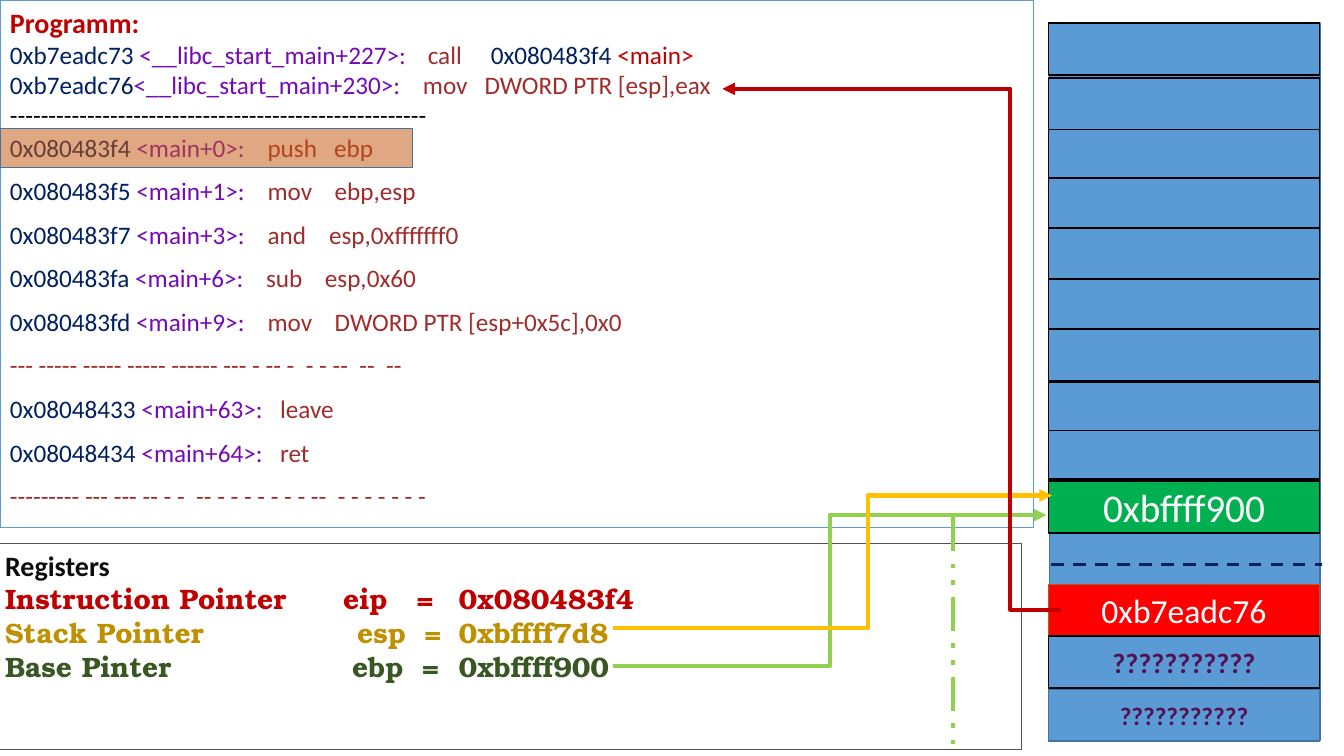
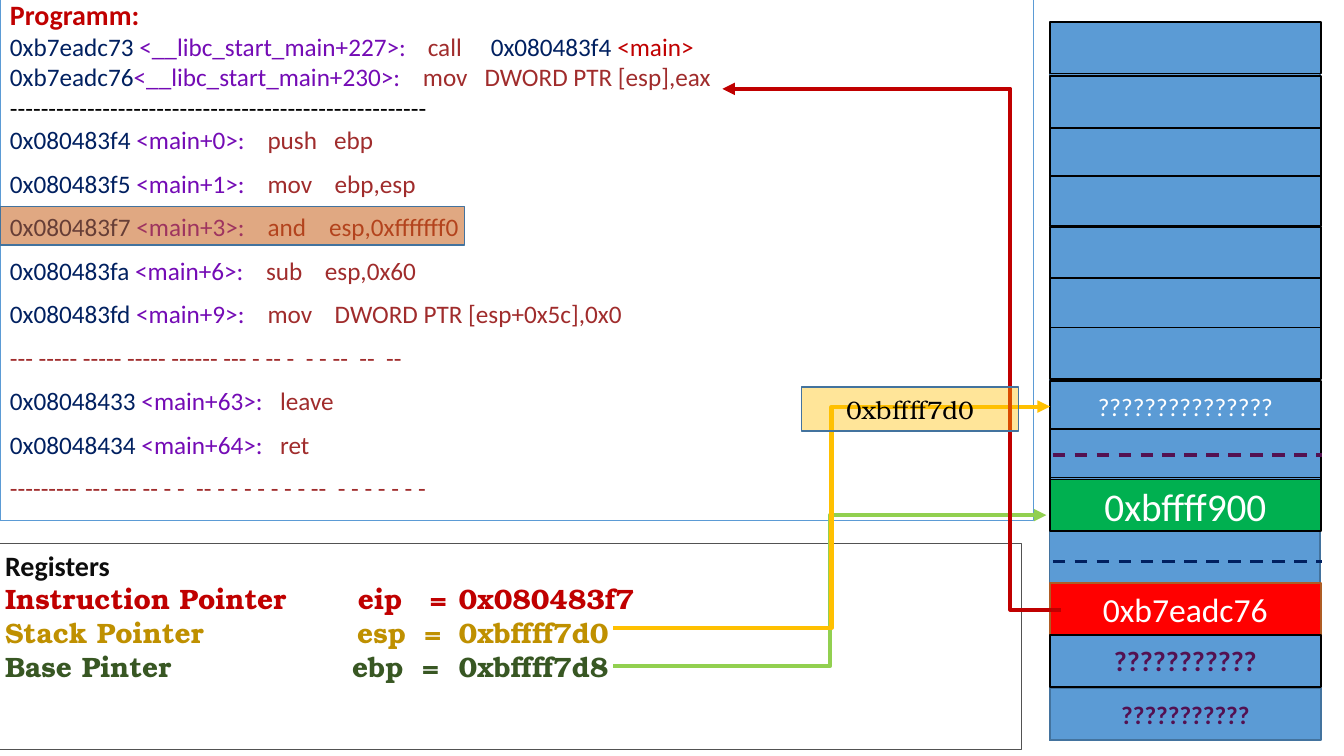
from lxml import etree
from pptx import Presentation
from pptx.dml.color import RGBColor
from pptx.enum import dml, shapes, text
from pptx.oxml import ns
from pptx.util import Pt

HUE = {
    "red": "C00000", "navy": "002060", "plum": "740BB5", "brown": "A02C2C",
    "black": "000000", "ink": "0D0D0D", "gold": "BF9000", "moss": "385723",
    "white": "FFFFFF", "grape": "531151", "blue": "5B9BD5", "edge": "43739E",
    "grey": "525252", "green": "00B050", "alert": "FF0000", "rust": "AF5C24",
    "mark": "C55A11", "amber": "FFC000", "lime": "92D050",
}
SANS, SERIF = "Calibri", "TeX Gyre Bonum"

# Program listing: runs of (text, colour), then tab stops
HEAD = [
    ([("0xb7eadc73 ", "navy"), ("<__libc_start_main+227>:", "plum"),
      ("\tcall\t", "brown"), ("0x080483f4", "navy"), (" <main>", "red")],
     (298.5, 343.5)),
    ([("0xb7eadc76", "navy"), ("<__libc_start_main+230>:", "plum"),
      ("\tmov\tDWORD PTR [esp],eax", "brown")], (295, 339)),
    ([("-" * 54, "black")], ()),
]
CODE = [
    ("0x080483f4", "<main+0>:", "\tpush\tebp", (184, 231.5)),
    ("0x080483f5", "<main+1>:", "\tmov\tebp,esp", (184, 232)),
    ("0x080483f7", "<main+3>:", "\tand\tesp,0xfffffff0", (184, 228)),
    ("0x080483fa", "<main+6>:", "\tsub\tesp,0x60", (183, 225)),
    ("0x080483fd", "<main+9>:", "\tmov\tDWORD PTR [esp+0x5c],0x0", (184, 232)),
    ("", "", "--- ----- ----- ----- ------ --- - -- -  - - --  --  --", ()),
    ("0x08048433", "<main+63>:", "\tleave", (193,)),
    ("0x08048434", "<main+64>:", "\tret", (193,)),
    ("", "", "--------- --- --- -- - -  -- - - - - - - - --  - - - - - - -", ()),
]

# Registers: label, name, colour; the tabs lead to name, equals sign, value
REGS = [("Instruction Pointer", "eip", "red"), ("Stack Pointer", "esp", "gold"),
        ("Base Pinter", "ebp", "moss")]
TABS = [(251.5, 299.5, 324), (248, 298, 324)]

# Stack cells from back to front: tops of the plain ones, and marked ones
LOW = [163, 199.5, 235, 273, 307.5, 342]
HIGH = [125.5, 90, 55.5, 16.5]
TAGS = [
    (343.5, "0xbffff900", "green", "black", dict(size=28)),
    (417.5, "0xb7eadc76", "alert", "rust", dict(size=24)),
    (454.5, "?" * 11, "blue", "black", dict(size=20, hue="grape", bold=True)),
]
BASE = (492.5, "?" * 11, "blue", "edge", dict(size=18, hue="grape", bold=True))

# What differs between the steps
STEPS = [
    dict(top=0.5, mark=(92, 294.5), left=749, lift=0, free={},
         vals=("0x080483f4", "0xbffff7d8", "0xbffff900"), eip=(241.5, 294, 324),
         esp=(751.5, 354, 0.58),
         rules=[(403.5, "navy")], tail=True, note=""),
    dict(top=-5, mark=(147.5, 332), left=750, lift=1, free={273: "?" * 15},
         vals=("0x080483f7", "0xbffff7d0", "0xbffff7d8"), eip=(252, 303.5, 324),
         esp=(750, 290.5, 0.5),
         rules=[(401, "navy"), (325, "grape")], tail=False, note="0xbffff7d0"),
]


def tint(part, hue):
    part.solid()
    part.fore_color.rgb = RGBColor.from_string(HUE[hue])


def write(par, words, hue="white", size=18, font=SANS, bold=False, tabs=(),
          align=None, line=None, after=None):
    """Add one run to a paragraph and set the paragraph's format."""
    run = par.add_run()
    run.text = words
    run.font.name, run.font.size, run.font.bold = font, Pt(size), bold
    tint(run.font.fill, hue)
    par.alignment = align or text.PP_ALIGN.LEFT
    if line:
        par.line_spacing, par.space_after = line, Pt(after)
    props = par._p.get_or_add_pPr()
    if tabs and props.find(ns.qn("a:tabLst")) is None:
        stops = etree.SubElement(props, ns.qn("a:tabLst"))
        for pos in tabs:
            etree.SubElement(stops, ns.qn("a:tab"), pos=str(Pt(pos)), algn="l")


def box(host, x, y, w, h, fill=None, edge="black", wide=1.25, alpha=None):
    item = host.add_shape(shapes.MSO_SHAPE.RECTANGLE, Pt(x), Pt(y), Pt(w), Pt(h))
    item.shadow.inherit = False
    if fill:
        tint(item.fill, fill)
    else:
        item.fill.background()
    if alpha:
        tone = item.fill._xPr.find(".//" + ns.qn("a:srgbClr"))
        etree.SubElement(tone, ns.qn("a:alpha"), val=str(alpha * 1000))
    tint(item.line.fill, edge)
    item.line.width = Pt(wide)
    frame = item.text_frame
    frame.word_wrap = True
    frame.vertical_anchor = text.MSO_ANCHOR.MIDDLE if fill else text.MSO_ANCHOR.TOP
    return frame


def link(host, x1, y1, x2, y2, hue, wide=3, bend=None, dash=None):
    """Draw a straight line, or an elbow arrow when bend is given."""
    kind = shapes.MSO_CONNECTOR.ELBOW if bend else shapes.MSO_CONNECTOR.STRAIGHT
    item = host.add_connector(kind, Pt(x1), Pt(y1), Pt(x2), Pt(y2))
    tint(item.line.fill, hue)
    item.line.width = Pt(wide)
    if dash:
        item.line.dash_style = dash
    props = item._element.spPr
    etree.SubElement(props, ns.qn("a:effectLst"))
    if bend:
        etree.SubElement(props.find(ns.qn("a:ln")), ns.qn("a:tailEnd"), type="triangle")
        guides = props.find(ns.qn("a:prstGeom")).get_or_add_avLst()
        etree.SubElement(guides, ns.qn("a:gd"), name="adj1",
                         fmla=f"val {round(bend * 100000)}")


def listing(host, step):
    frame = box(host, 0, step["top"], 738.5, 376.5, edge="blue", wide=0.75)
    write(frame.paragraphs[0], "Programm:", "red", 20, bold=True)
    for runs, tabs in HEAD:
        par = frame.add_paragraph()
        for words, hue in runs:
            write(par, words, hue, tabs=tabs)
    for spot, name, op, tabs in CODE:
        par = frame.add_paragraph()
        cells = [(spot, "navy"), (" " + name, "plum")] if spot else []
        for words, hue in cells + [(op, "brown")]:
            write(par, words, hue, tabs=tabs, line=1.07, after=8)
    y, w = step["mark"]
    box(host, 0, y, w, 27.5, "mark", "edge", 1, alpha=52)


def stack(host, step):
    box(host, 749.5, 16.5, 193.5, 512.5, "blue", "edge", 1)
    cells = host.add_group_shape().shapes

    def plain(tops):
        return [(y, step["free"].get(y, ""), "blue", "black", {}) for y in tops]

    for y, words, fill, edge, form in [BASE] + plain(LOW) + TAGS + plain(HIGH):
        frame = box(cells, step["left"], y - step["lift"], 193.5, 37, fill, edge)
        if words:
            write(frame.paragraphs[0], words, align=text.PP_ALIGN.CENTER, **form)


def registers(host, step):
    frame = box(host, -3.5, 388, 733.5, 147.5, edge="grey", wide=0.75)
    write(frame.paragraphs[0], "Registers", "ink", 20, bold=True)
    for (label, name, hue), val, tabs in zip(REGS, step["vals"], [step["eip"]] + TABS):
        write(frame.add_paragraph(), f"{label}\t{name}\t=\t{val}", hue, 20, SERIF,
              True, tabs)


def arrows(host, step):
    link(host, 438, 476, 747.5, 368, "lime", bend=0.5)
    x, y, bend = step["esp"]
    link(host, 438, 448.5, x, y, "amber", bend=bend)
    link(host, 758, 435.5, 516, 63.5, "red", bend=0.15)
    for y, hue in step["rules"]:
        link(host, step["left"] + 2, y, 944, y, hue, 2.25, dash=dml.MSO_LINE.DASH)
    if step["tail"]:
        link(host, 681, 369.5, 681, 540, "lime", dash=dml.MSO_LINE.DASH_DOT_DOT)
    if step["note"]:
        frame = box(host, 572.5, 276.5, 155, 31.5, "amber", "edge", 1, alpha=40)
        write(frame.paragraphs[0], step["note"], "black", font=SERIF,
              align=text.PP_ALIGN.CENTER)


def main():
    deck = Presentation()
    deck.slide_width, deck.slide_height = Pt(960), Pt(540)
    for step in STEPS:
        host = deck.slides.add_slide(deck.slide_layouts[6]).shapes
        for part in (listing, stack, registers, arrows):
            part(host, step)
    deck.save("out.pptx")


if __name__ == "__main__":
    main()
